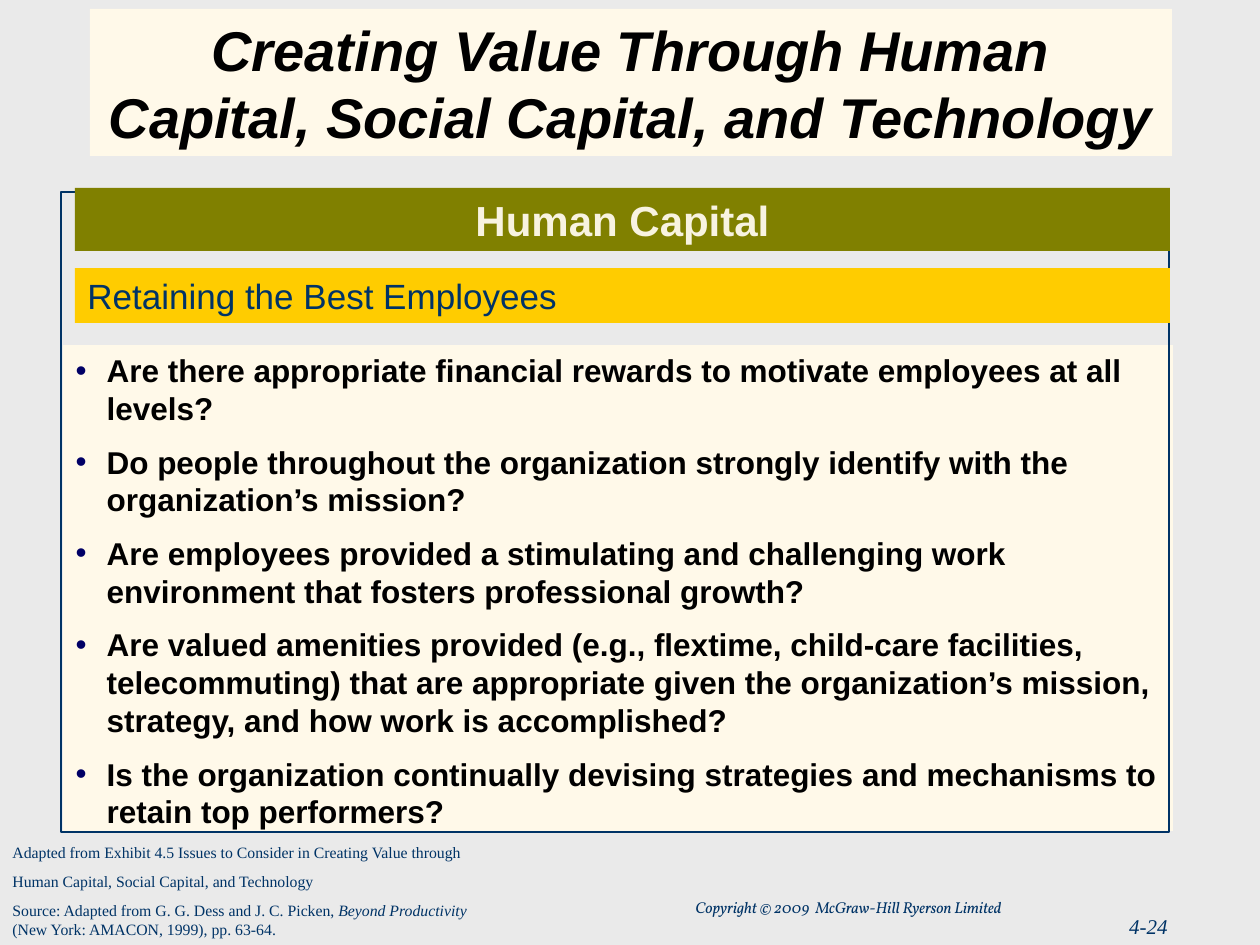
from dataclasses import dataclass

from lxml import etree
from pptx import Presentation
from pptx import util as u
from pptx.dml.color import RGBColor
from pptx.enum import shapes, text
from pptx.oxml import ns

EMU_PER_PX = 914400 / 126
LEFT, CENTER, RIGHT = text.PP_ALIGN.LEFT, text.PP_ALIGN.CENTER, text.PP_ALIGN.RIGHT


@dataclass(frozen=True)
class Theme:
    sans: str = "Arial"
    serif: str = "Times New Roman"
    copyright: str = "Vollkorn"
    ground: str = "EAEAEA"
    cream: str = "FFF9E9"
    navy: str = "003366"
    bullet: str = "000066"
    black: str = "000000"
    olive: str = "808000"
    gold: str = "FFCC00"
    pale: str = "F8F3E0"
    title_size: int = 32
    heading_size: int = 24
    subheading_size: int = 20
    body_size: int = 18
    number_size: int = 12
    note_size: int = 9


THEME = Theme()


@dataclass(frozen=True)
class Area:
    left: int
    top: int
    width: int
    height: int

    def emu(self) -> list[u.Emu]:
        return [px(n) for n in (self.left, self.top, self.width, self.height)]


@dataclass(frozen=True)
class Style:
    size: int
    color: str
    face: str = THEME.sans
    bold: bool = False
    italic: bool = False
    align: text.PP_ALIGN = LEFT


@dataclass(frozen=True)
class Banner:
    area: Area
    words: str
    fill: str
    style: Style


TITLE = "Creating Value Through Human Capital, Social Capital, and Technology"
QUESTIONS = [
    "Are there appropriate financial rewards to motivate employees at all levels?",
    "Do people throughout the organization strongly identify with the organization’s mission?",
    "Are employees provided a stimulating and challenging work environment that fosters "
    "professional growth?",
    "Are valued amenities provided (e.g., flextime, child-care facilities, telecommuting) that "
    "are appropriate given the organization’s mission, strategy, and how work is accomplished?",
    "Is the organization continually devising strategies and mechanisms to retain top performers?",
]
BANNERS = [
    Banner(Area(75, 188, 1095, 63), "Human Capital", THEME.olive,
           Style(THEME.heading_size, THEME.pale, bold=True, align=CENTER)),
    Banner(Area(75, 268, 1095, 55), "Retaining the Best Employees", THEME.gold,
           Style(THEME.subheading_size, THEME.navy)),
]
BOOK = "Beyond Productivity"
SOURCE_NOTE = [
    "Adapted from Exhibit 4.5 Issues to Consider in Creating Value through",
    "Human Capital, Social Capital, and Technology",
    "Source: Adapted from G. G. Dess and J. C. Picken, ",
]


def px(count: int) -> u.Emu:
    return u.Emu(round(count * EMU_PER_PX))


def rgb(value: str) -> RGBColor:
    return RGBColor.from_string(value)


def place(box, area: Area) -> None:
    box.left, box.top, box.width, box.height = area.emu()


def paint(box, color: str) -> None:
    box.fill.solid()
    box.fill.fore_color.rgb = rgb(color)


def format_text(box, style: Style, gap: float = 0, anchor=text.MSO_ANCHOR.TOP) -> None:
    frame = box.text_frame
    frame.word_wrap = True
    frame.auto_size = text.MSO_AUTO_SIZE.NONE
    frame.vertical_anchor = anchor
    for index, para in enumerate(frame.paragraphs):
        para.alignment = style.align
        para.space_before = u.Pt(gap if index else 0)
        for span in para.runs:
            font = span.font
            font.name, font.size = style.face, u.Pt(style.size)
            font.bold, font.italic = style.bold, style.italic
            font.color.rgb = rgb(style.color)


def add_bullet(para, color: str, indent: int) -> None:
    props = para._p.get_or_add_pPr()
    props.set("marL", str(px(indent)))
    props.set("indent", str(-px(indent)))
    tint = etree.SubElement(props, ns.qn("a:buClr"))
    etree.SubElement(tint, ns.qn("a:srgbClr"), val=color)
    etree.SubElement(props, ns.qn("a:buFont"), typeface=THEME.sans)
    etree.SubElement(props, ns.qn("a:buChar"), char="•")


def add_rectangle(page, area: Area):
    box = page.shapes.add_shape(shapes.MSO_SHAPE.RECTANGLE, *area.emu())
    box.shadow.inherit = False
    box.line.fill.background()
    return box


def add_label(page, area: Area, words: str, style: Style, gap: float = 0):
    box = page.shapes.add_textbox(*area.emu())
    box.text_frame.text = words
    format_text(box, style, gap)
    return box


def main() -> None:
    deck = Presentation()
    deck.slide_width, deck.slide_height = px(1260), px(945)
    page = deck.slides.add_slide(deck.slide_layouts[1])
    paint(page.background, THEME.ground)

    # Title
    title = page.shapes.title
    place(title, Area(90, 9, 1082, 147))
    paint(title, THEME.cream)
    title.text_frame.text = TITLE
    format_text(title, Style(THEME.title_size, THEME.black, bold=True, italic=True, align=CENTER),
                anchor=text.MSO_ANCHOR.BOTTOM)

    # Questions
    body = page.placeholders[1]
    place(body, Area(63, 345, 1110, 486))
    paint(body, THEME.cream)
    body.text_frame.text = "\n".join(QUESTIONS)
    for para in body.text_frame.paragraphs:
        add_bullet(para, THEME.bullet, 31)
    format_text(body, Style(THEME.body_size, THEME.black, bold=True), gap=9)

    # Frame and banners
    frame = add_rectangle(page, Area(61, 192, 1108, 640))
    frame.fill.background()
    frame.line.color.rgb = rgb(THEME.navy)
    frame.line.width = u.Pt(1.5)
    for banner in BANNERS:
        box = add_rectangle(page, banner.area)
        paint(box, banner.fill)
        box.text_frame.text = banner.words
        format_text(box, banner.style)

    # Source note
    backing = add_rectangle(page, Area(0, 887, 604, 58))
    paint(backing, THEME.ground)
    note_style = Style(THEME.note_size, THEME.navy, THEME.serif)
    note = add_label(page, Area(0, 837, 509, 108), "\n".join(SOURCE_NOTE), note_style)
    citation = note.text_frame.paragraphs[-1]
    for words in (BOOK, " (New York: AMACON, 1999), pp. 63-64."):
        citation.add_run().text = words
    format_text(note, note_style, gap=5.6)
    citation.runs[1].font.italic = True

    # Copyright line and page number
    add_label(page, Area(683, 892, 577, 32), "Copyright © 2009  McGraw-Hill Ryerson Limited",
              Style(THEME.note_size, THEME.navy, THEME.copyright, italic=True))
    add_label(page, Area(970, 907, 210, 38), "4-24",
              Style(THEME.number_size, THEME.navy, THEME.serif, italic=True, align=RIGHT))

    deck.save("out.pptx")


if __name__ == "__main__":
    main()
